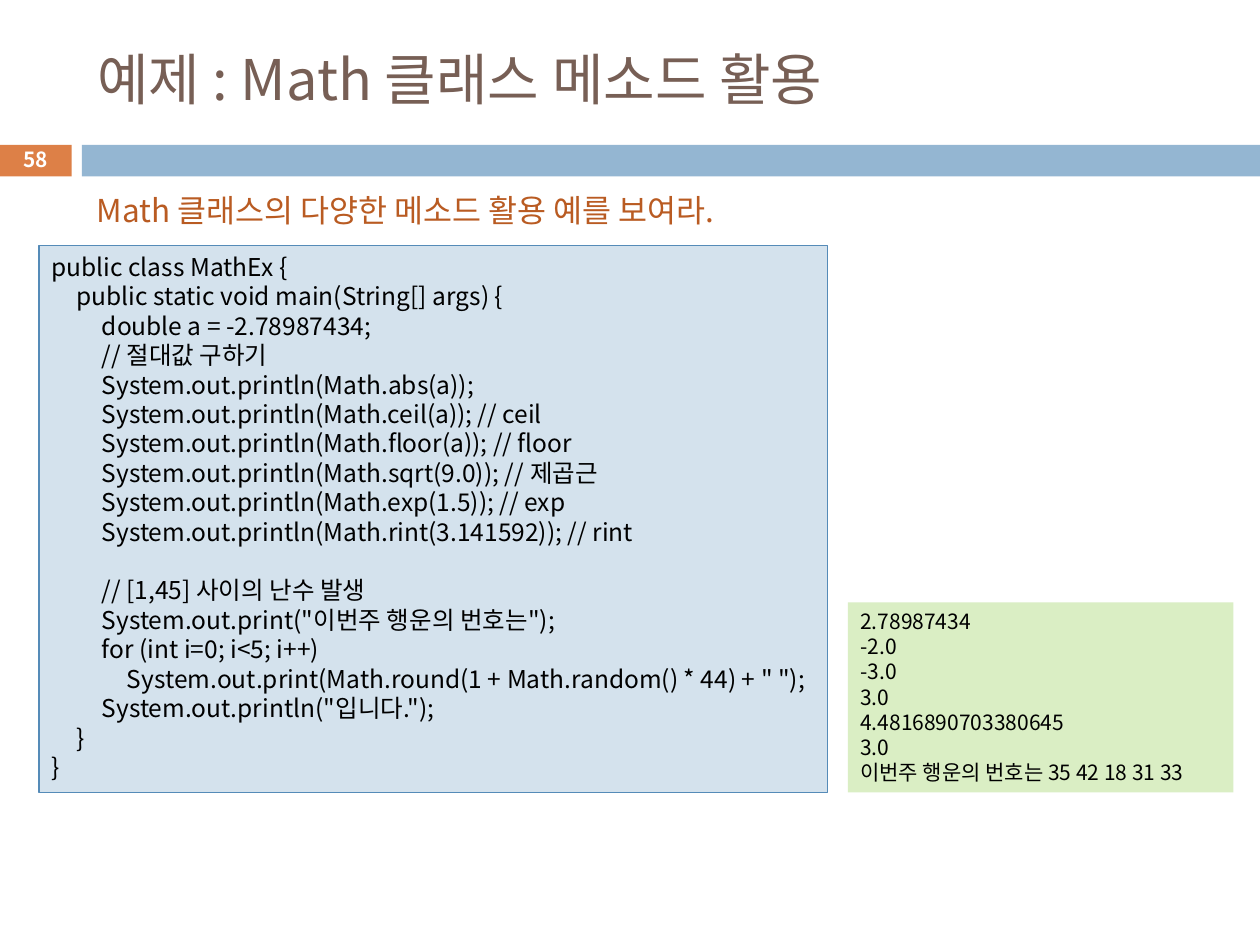
from lxml import etree
from pptx import Presentation
from pptx.dml.color import RGBColor
from pptx.enum.shapes import MSO_SHAPE
from pptx.enum.text import MSO_ANCHOR, PP_ALIGN
from pptx.oxml.ns import qn
from pptx.util import Inches, Pt

RECT = MSO_SHAPE.RECTANGLE
TOP, MIDDLE = MSO_ANCHOR.TOP, MSO_ANCHOR.MIDDLE
LEFT, CENTER = PP_ALIGN.LEFT, PP_ALIGN.CENTER
FONT = "Noto Sans CJK KR"
COLS, ROWS = 100, 75
INDENT = 0.2  # inches per code level
LEADING = 1.2  # line pitch relative to text size

# Indent level and text; None is a blank code line
CODE = [
    (0, "public class MathEx {"),
    (1, "public static void main(String[] args) {"),
    (2, "double a = -2.78987434;"),
    (2, "// 절대값 구하기"),
    (2, "System.out.println(Math.abs(a));"),
    (2, "System.out.println(Math.ceil(a)); // ceil"),
    (2, "System.out.println(Math.floor(a)); // floor"),
    (2, "System.out.println(Math.sqrt(9.0)); // 제곱근"),
    (2, "System.out.println(Math.exp(1.5)); // exp"),
    (2, "System.out.println(Math.rint(3.141592)); // rint"),
    None,
    (2, "// [1,45] 사이의 난수 발생"),
    (2, 'System.out.print("이번주 행운의 번호는");'),
    (2, "for (int i=0; i<5; i++)"),
    (3, 'System.out.print(Math.round(1 + Math.random() * 44) + " ");'),
    (2, 'System.out.println("입니다.");'),
    (1, "}"),
    (0, "}"),
]
OUTPUT = ["2.78987434", "-2.0", "-3.0", "3.0", "4.4816890703380645", "3.0",
          "이번주 행운의 번호는 35 42 18 31 33"]


def rgb(value):
    return RGBColor.from_string(value)


class Deck:
    def __init__(self):
        self.prs = Presentation()
        self.prs.slide_width, self.prs.slide_height = Inches(10), Inches(7.5)
        self.s = self.prs.slides.add_slide(self.prs.slide_layouts[5])

    def place(self, x, y, w, h):
        """Convert grid columns and rows to slide lengths."""
        col, row = self.prs.slide_width / COLS, self.prs.slide_height / ROWS
        return int(x * col), int(y * row), int(w * col), int(h * row)

    def add_text(self, sp, lines, size, color, bold=False, align=LEFT,
                 anchor=TOP, wrap=True):
        tf = sp.text_frame
        tf.word_wrap, tf.vertical_anchor = wrap, anchor
        p, gap = tf.paragraphs[0], 0
        for i, line in enumerate(lines):
            if line is None:
                gap += size * LEADING
                continue
            level, text = line
            if i:
                p = tf.add_paragraph()
            p.alignment = align
            p.line_spacing = Pt(size * LEADING)
            p.space_before, gap = Pt(gap), 0
            if level:
                pPr = p._p.get_or_add_pPr()
                pPr.set("marL", str(Inches(level * INDENT)))
                pPr.set("indent", "0")
            r = p.add_run()
            r.text = text
            r.font.name, r.font.size, r.font.bold = FONT, Pt(size), bold
            r.font.color.rgb = rgb(color)
            ea = etree.SubElement(r._r.get_or_add_rPr(), qn("a:ea"))
            ea.set("typeface", FONT)

    def title(self, box, text, size, color):
        sp = self.s.shapes.title
        sp.left, sp.top, sp.width, sp.height = self.place(*box)
        self.add_text(sp, [(0, text)], size, color, anchor=MIDDLE)

    def rect(self, box, fill, line=None):
        sp = self.s.shapes.add_shape(RECT, *self.place(*box))
        sp.shadow.inherit = False
        sp.fill.solid()
        sp.fill.fore_color.rgb = rgb(fill)
        if line:
            sp.line.color.rgb, sp.line.width = rgb(line), Pt(0.75)
        else:
            sp.line.fill.background()
        return sp

    def label(self, box, text, size, color, **style):
        sp = self.s.shapes.add_textbox(*self.place(*box))
        self.add_text(sp, [(0, text)], size, color, **style)


def main():
    d = Deck()

    # Title and the band below it
    d.title((6.7, 2.5, 89.2, 7.4), "예제 : Math 클래스 메소드 활용", 32, "775F55")
    d.rect((0, 11.5, 5.7, 2.5), "DD8047")
    d.rect((6.5, 11.5, 93.5, 2.5), "94B6D2")
    d.label((0, 11.3, 5.7, 2.7), "58", 11.9, "FFFFFF",
            bold=True, align=CENTER, anchor=MIDDLE)

    # Task
    d.label((6.7, 14.7, 56.1, 4), "Math 클래스의 다양한 메소드 활용 예를 보여라.",
            18, "B95B22", wrap=False)

    # Program and its output
    code = d.rect((3.1, 19.5, 62.6, 43.4), "D4E2ED", "558BB8")
    d.add_text(code, CODE, 14, "000000")
    output = d.rect((67.3, 47.8, 30.6, 15.1), "DAEEC4")
    d.add_text(output, [(0, text) for text in OUTPUT], 12, "000000", wrap=False)

    d.prs.save("out.pptx")


if __name__ == "__main__":
    main()
